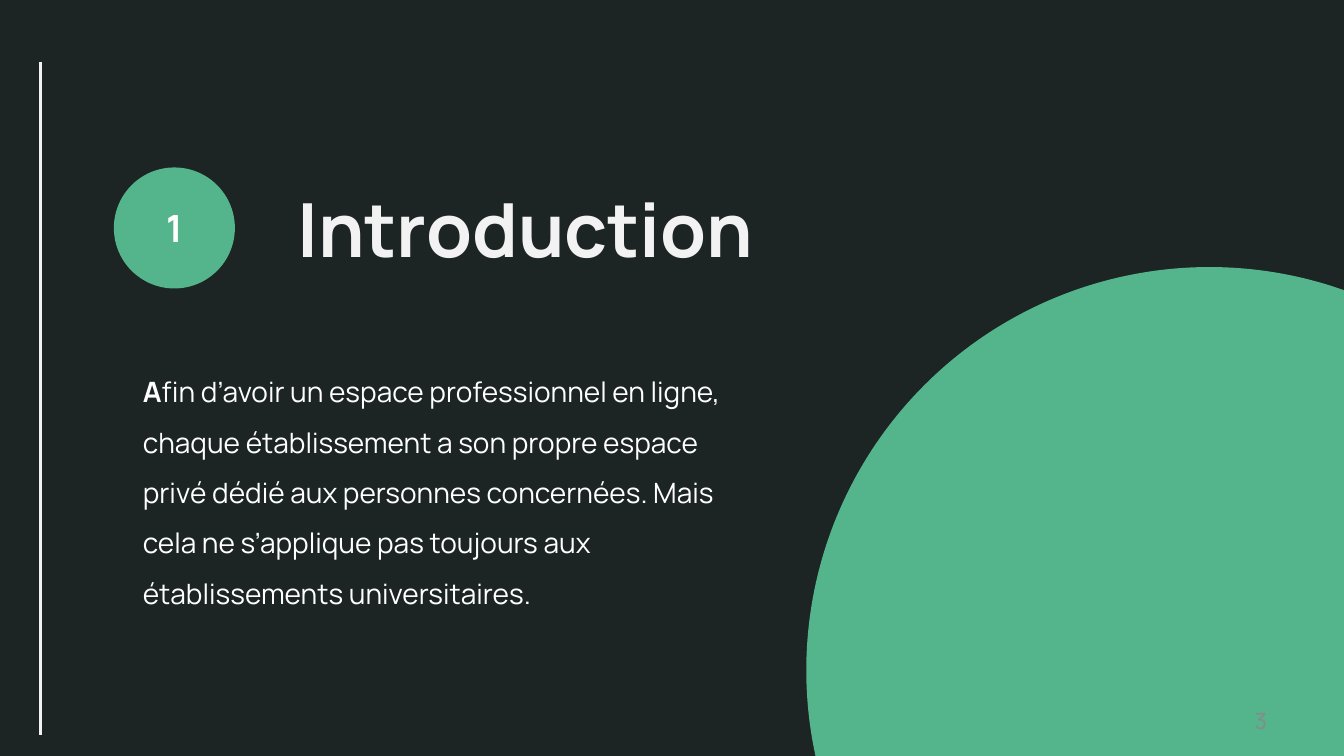
from lxml import etree
from pptx import Presentation
from pptx import util as u
from pptx.dml.color import RGBColor
from pptx.enum import shapes, text
from pptx.oxml.ns import qn

COLORS = {"night": "1C2424", "green": "54B48C", "light": "F2F2F2", "white": "FFFFFF", "grey": "898989"}
FONT = "Manrope"
PAGE_SIZE = (33.87, 19.05)
RULE = {"x": 1.02, "top": 1.55, "bottom": 18.52, "points": 2}
BIG_CIRCLE = (20.32, 6.73, 20.32, 20.32)
BADGE = (2.87, 4.22, 3.05, 3.05)

WIDE_INSET = (0.33, 0.18)
INSET = (0.25, 0.13)
BADGE_RUNS = [("1", 26.7, "white", True)]
TITLE_RUNS = [("Introduction", 53.3, "light", True)]
BODY_RUNS = [
    ("A", 20, "white", True),
    ("fin d’avoir un espace professionnel en ligne, chaque établissement a son propre espace "
     "privé dédié aux personnes concernées. Mais cela ne s’applique pas toujours aux "
     "établissements universitaires.", 20, "white", False),
]
NUMBER_RUNS = [("3", 16, "grey", False)]

LEFT, CENTER, RIGHT = text.PP_ALIGN.LEFT, text.PP_ALIGN.CENTER, text.PP_ALIGN.RIGHT
TOP, MIDDLE = text.MSO_ANCHOR.TOP, text.MSO_ANCHOR.MIDDLE
TEXT_BOXES = [
    ((7.16, 4.42, 17.22, 2.62), TITLE_RUNS, WIDE_INSET, LEFT, TOP, 1),
    ((3.35, 8.89, 16.23, 6.55), BODY_RUNS, INSET, LEFT, TOP, 1.5),
    ((24.56, 17.66, 7.62, 1.01), NUMBER_RUNS, INSET, RIGHT, MIDDLE, 1),
]


def color(name):
    return RGBColor.from_string(COLORS[name])


def lengths(values):
    return [u.Cm(value) for value in values]


def write(box, runs, inset, align, anchor, spacing):
    frame = box.text_frame
    frame.word_wrap = True
    frame.vertical_anchor = anchor
    frame.margin_left = frame.margin_right = u.Cm(inset[0])
    frame.margin_top = frame.margin_bottom = u.Cm(inset[1])
    para = frame.paragraphs[0]
    para.alignment = align
    para.line_spacing = spacing
    for words, size, tint, bold in runs:
        span = para.add_run()
        span.text = words
        span.font.name = FONT
        span.font.size = u.Pt(size)
        span.font.bold = bold
        span.font.color.rgb = color(tint)


def add_circle(page, place):
    circle = page.shapes.add_shape(shapes.MSO_SHAPE.OVAL, *lengths(place))
    circle.shadow.inherit = False
    circle.fill.solid()
    circle.fill.fore_color.rgb = color("green")
    circle.line.fill.background()
    return circle


def add_rule(page):
    ends = lengths((RULE["x"], RULE["top"], RULE["x"], RULE["bottom"]))
    rule = page.shapes.add_connector(shapes.MSO_CONNECTOR.STRAIGHT, *ends)
    rule.line.color.rgb = color("light")
    rule.line.width = u.Pt(RULE["points"])
    etree.SubElement(rule._element.spPr, qn("a:effectLst"))


def main():
    deck = Presentation()
    deck.slide_width, deck.slide_height = lengths(PAGE_SIZE)
    page = deck.slides.add_slide(deck.slide_layouts[6])
    page.background.fill.solid()
    page.background.fill.fore_color.rgb = color("night")

    add_rule(page)
    add_circle(page, BIG_CIRCLE)
    write(add_circle(page, BADGE), BADGE_RUNS, WIDE_INSET, CENTER, MIDDLE, 1)
    for place, *content in TEXT_BOXES:
        write(page.shapes.add_textbox(*lengths(place)), *content)

    deck.save("out.pptx")


if __name__ == "__main__":
    main()
